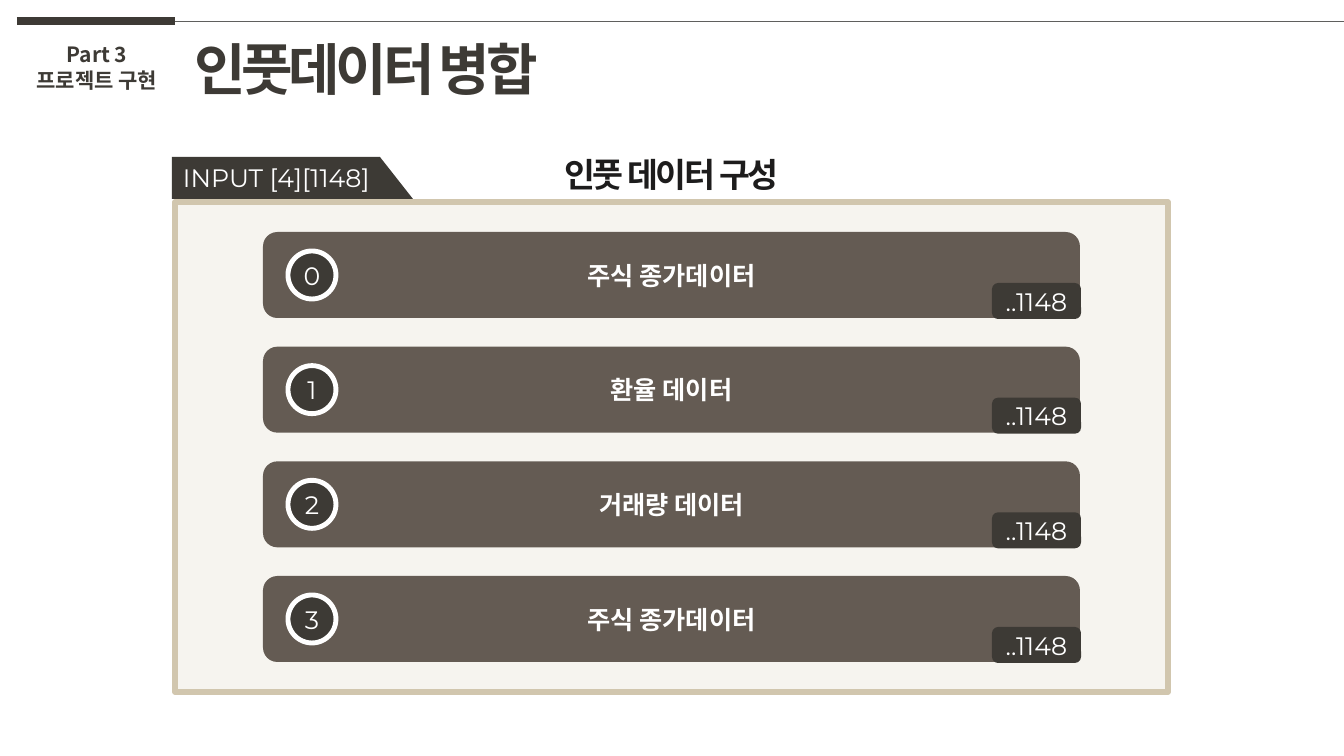
import pptx
import pptx.util
import pptx.dml.color
import pptx.oxml.ns
import pptx.enum.shapes
import pptx.enum.text
import lxml.etree

COLORS = {
    "dark": "3D3A35",
    "rule": "5F5F5D",
    "heading": "1D1C1C",
    "panel": "F6F4EF",
    "border": "D1C6AE",
    "bar": "645B53",
    "white": "FFFFFF",
}
KOREAN = "Noto Sans CJK KR"
LATIN = "Montserrat"
EMU_PER_PX = 914400 / 100.8

SHAPE = pptx.enum.shapes.MSO_SHAPE
ALIGN = pptx.enum.text.PP_ALIGN
ANCHOR = pptx.enum.text.MSO_ANCHOR


def px(length):
    return pptx.util.Emu(round(length * EMU_PER_PX))


def rgb(name):
    return pptx.dml.color.RGBColor.from_string(COLORS[name])


def write(shape, lines, size, color, font=LATIN, bold=False, align=ALIGN.CENTER,
          anchor=ANCHOR.MIDDLE, tracking=0, line_spacing=None, inset=(10, 5)):
    """Fill a shape with paragraphs of one style; tracking is in points."""
    frame = shape.text_frame
    frame.text = "\n".join(lines)
    frame.word_wrap = True
    frame.auto_size = pptx.enum.text.MSO_AUTO_SIZE.NONE
    frame.vertical_anchor = anchor
    frame.margin_left = frame.margin_right = px(inset[0])
    frame.margin_top = frame.margin_bottom = px(inset[1])
    for para in frame.paragraphs:
        para.alignment = align
        if line_spacing:
            para.line_spacing = line_spacing
        para.font.size = pptx.util.Pt(size)
        para.font.bold = bold
        para.font.name = font
        para.font.color.rgb = rgb(color)
        # East Asian typeface and letter spacing
        style = para._p.pPr.find(pptx.oxml.ns.qn("a:defRPr"))
        east_asian = lxml.etree.SubElement(style, pptx.oxml.ns.qn("a:ea"))
        east_asian.set("typeface", KOREAN)
        if tracking:
            style.set("spc", str(round(tracking * 100)))


def add_block(page, kind, box, fill, line=None, line_width=0):
    shape = page.shapes.add_shape(kind, *map(px, box))
    shape.shadow.inherit = False
    shape.fill.solid()
    shape.fill.fore_color.rgb = rgb(fill)
    if line:
        shape.line.color.rgb = rgb(line)
        shape.line.width = pptx.util.Pt(line_width)
    else:
        shape.line.fill.background()
    return shape


def add_rule(page, left, right, top, color, width):
    rule = page.shapes.add_connector(
        pptx.enum.shapes.MSO_CONNECTOR.STRAIGHT, px(left), px(top), px(right), px(top))
    rule.line.color.rgb = rgb(color)
    rule.line.width = pptx.util.Pt(width)
    properties = rule._element.spPr
    lxml.etree.SubElement(properties, pptx.oxml.ns.qn("a:effectLst"))


def add_header(page, box):
    left, top, width, height = box
    split = left + 158
    # Rules
    add_rule(page, left, split, top, "dark", 6)
    add_rule(page, split, left + width, top, "rule", 0.5)
    # Part label
    label = page.shapes.add_textbox(px(left - 6), px(top + 16), px(172), px(62))
    write(label, ["Part 3", "프로젝트 구현"], 15, "dark", KOREAN, True, anchor=ANCHOR.TOP)
    # Title
    title = page.shapes.title
    title.left, title.top = px(split + 9), px(top + 9)
    title.width, title.height = px(440), px(height - 9)
    write(title, ["인풋데이터 병합"], 40, "dark", KOREAN, True, ALIGN.LEFT, ANCHOR.TOP, -3)


def add_tab(page, box, text):
    left, top, width, height = box
    slant = 33
    add_block(page, SHAPE.RECTANGLE, (left, top, width - slant, height), "dark")
    add_block(page, SHAPE.RIGHT_TRIANGLE,
              (left + width - slant, top, slant, height), "dark")
    label = page.shapes.add_textbox(*map(px, (left + 1, top, width, height)))
    write(label, [text], 18, "white", align=ALIGN.LEFT, anchor=ANCHOR.TOP)


def add_bar(page, box, index, name):
    left, top, width, height = box
    bar = add_block(page, SHAPE.ROUNDED_RECTANGLE, box, "bar")
    write(bar, [name], 18, "white", bold=True)
    # Index badge
    size = 48
    badge = add_block(page, SHAPE.OVAL,
                      (left + 25, top + (height - size) / 2, size, size),
                      "dark", "white", 3.5)
    write(badge, [str(index)], 18, "white", inset=(0, 0))
    # Length tag in the lower right corner
    tag_width, tag_height = 89, 36
    tag = add_block(page, SHAPE.ROUNDED_RECTANGLE,
                    (left + width - tag_width + 1, top + height - tag_height + 1,
                     tag_width, tag_height), "dark")
    write(tag, ["..1148"], 18, "white", inset=(0, 0))


def add_input_panel(page, box, names):
    left, top, width, height = box
    # Heading and tab above the panel
    heading = page.shapes.add_textbox(px(left), px(top - 77), px(width), px(70))
    write(heading, ["인풋 데이터 구성"], 24, "heading", KOREAN, True,
          anchor=ANCHOR.TOP, tracking=-1.5, line_spacing=1.6)
    add_block(page, SHAPE.RECTANGLE, box, "panel", "border", 4)
    add_tab(page, (left - 3, top - 45, 241, 42), "INPUT [4][1148]")
    # Evenly spaced bars
    side, margin, bar_height = 88, 30, 86
    pitch = (height - 2 * margin - bar_height) / (len(names) - 1)
    for index, name in enumerate(names):
        add_bar(page, (left + side, top + margin + index * pitch,
                       width - 2 * side, bar_height), index, name)


def main():
    deck = pptx.Presentation()
    deck.slide_width, deck.slide_height = px(1344), px(756)
    page = deck.slides.add_slide(deck.slide_layouts.get_by_name("Title Only"))
    add_header(page, (17, 21, 1327, 87))
    add_input_panel(page, (175, 202, 993, 490),
                    ["주식 종가데이터", "환율 데이터", "거래량 데이터", "주식 종가데이터"])
    deck.save("out.pptx")


if __name__ == "__main__":
    main()
